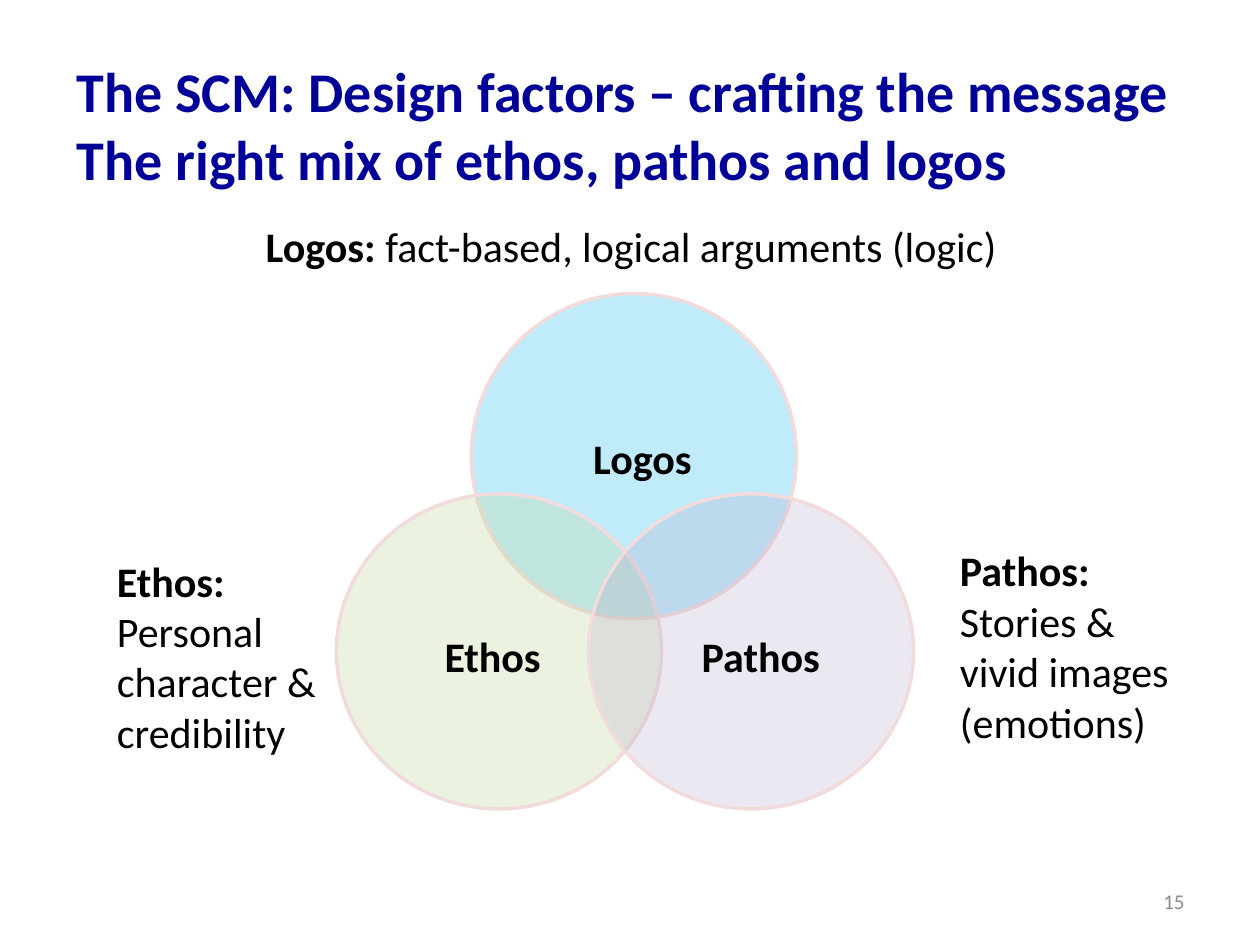
from typing import NamedTuple

from lxml.etree import SubElement
from pptx import Presentation
from pptx.dml.color import RGBColor
from pptx.enum.shapes import MSO_SHAPE as Shape
from pptx.enum.text import MSO_ANCHOR as Anchor, MSO_AUTO_SIZE as AutoSize, PP_ALIGN as Align
from pptx.oxml import parse_xml
from pptx.oxml.ns import nsdecls, qn
from pptx.util import Inches, Pt

NAVY = RGBColor(0x00, 0x00, 0x99)
BLACK = RGBColor(0x00, 0x00, 0x00)
GRAY = RGBColor(0x8C, 0x8C, 0x8C)
SKY = RGBColor(0x00, 0xB0, 0xF0)
GREEN = RGBColor(0xC3, 0xD6, 0x9B)
PURPLE = RGBColor(0xB3, 0xA2, 0xC7)
ROSE = RGBColor(0xF2, 0xDC, 0xDB)

COLS, ROWS = 100, 75
FONT = "Calibri"

prs = Presentation()
prs.slide_width, prs.slide_height = Inches(10), Inches(7.5)


class Area(NamedTuple):
    col: float
    row: float
    cols: float
    rows: float

    def box(self) -> list[int]:
        x, y = prs.slide_width / COLS, prs.slide_height / ROWS
        return [round(n) for n in (self.col * x, self.row * y, self.cols * x, self.rows * y)]


class Circle(NamedTuple):
    area: Area
    color: RGBColor
    opacity: int


class Label(NamedTuple):
    area: Area
    head: str
    detail: str = ""


CIRCLES = [
    Circle(Area(37.4, 23.3, 25.8, 25.8), SKY, 25),
    Circle(Area(26.7, 39.2, 25.8, 25), GREEN, 30),
    Circle(Area(46.7, 39.2, 25.8, 25), PURPLE, 24),
]
LABELS = [
    Label(Area(8.3, 49.3, 18.1, 5.5), "Ethos:", "Personal character & credibility"),
    Label(Area(75.2, 48.5, 20.5, 5.5), "Pathos:", "Stories & vivid images (emotions)"),
    Label(Area(34.3, 49.3, 11, 5.5), "Ethos"),
    Label(Area(54.7, 49.3, 11.8, 5.5), "Pathos"),
    Label(Area(46.1, 33.6, 11.8, 5.5), "Logos"),
]


def place(sp, area: Area, anchor=Anchor.MIDDLE):
    sp.left, sp.top, sp.width, sp.height = area.box()
    tf = sp.text_frame
    tf.word_wrap = True
    tf.auto_size = AutoSize.NONE
    tf.vertical_anchor = anchor
    return tf


def write(p, text: str, *, size=24, bold=False, color=BLACK, align=Align.LEFT):
    p.alignment = align
    p.space_before = Pt(0)
    r = p.add_run()
    r.text = text
    r.font.name, r.font.size, r.font.bold = FONT, Pt(size), bold
    r.font.color.rgb = color
    return r


def draw_circle(s, circle: Circle) -> None:
    sp = s.shapes.add_shape(Shape.OVAL, *circle.area.box())
    sp.shadow.inherit = False
    sp.fill.solid()
    sp.fill.fore_color.rgb = circle.color
    srgb = sp.fill._xPr.find(".//" + qn("a:srgbClr"))
    SubElement(srgb, qn("a:alpha"), val=str(circle.opacity * 1000))
    sp.line.color.rgb = ROSE
    sp.line.width = Pt(2)


def draw_label(s, label: Label) -> None:
    tf = place(s.shapes.add_textbox(*label.area.box()), label.area)
    write(tf.paragraphs[0], label.head, bold=True)
    if label.detail:
        write(tf.add_paragraph(), label.detail)


def draw_page_number(s, area: Area, number: int) -> None:
    tf = place(s.shapes.add_textbox(*area.box()), area)
    r = write(tf.paragraphs[0], str(number), size=12, color=GRAY, align=Align.RIGHT)._r
    field = parse_xml(
        f'<a:fld {nsdecls("a")} id="{{B6F15528-21DE-4FAA-801E-634DDDAF4B2B}}" type="slidenum"/>'
    )
    r.addprevious(field)
    field.extend(list(r))
    r.getparent().remove(r)


def main() -> None:
    s = prs.slides.add_slide(prs.slide_layouts[1])
    prs.element.set("firstSlideNum", "15")

    title = place(s.shapes.title, Area(5.1, 3.6, 94.9, 12.5))
    write(title.paragraphs[0], "The SCM: Design factors – crafting the message",
          size=32, bold=True, color=NAVY)
    write(title.add_paragraph(), "The right mix of ethos, pathos and logos",
          size=32, bold=True, color=NAVY)

    body = place(s.placeholders[1], Area(5.1, 17, 90, 49.5), Anchor.TOP)
    p = body.paragraphs[0]
    pPr = p._p.get_or_add_pPr()
    pPr.set("marL", str(Inches(0.38)))
    pPr.set("indent", str(-Inches(0.38)))
    SubElement(pPr, qn("a:buNone"))
    write(p, "Logos: ", bold=True, align=Align.CENTER)
    write(p, "fact-based, logical arguments (logic)", align=Align.CENTER)

    for circle in CIRCLES:
        draw_circle(s, circle)
    for label in LABELS:
        draw_label(s, label)
    draw_page_number(s, Area(71.7, 69.5, 23.3, 4), 15)

    prs.save("out.pptx")


if __name__ == "__main__":
    main()
